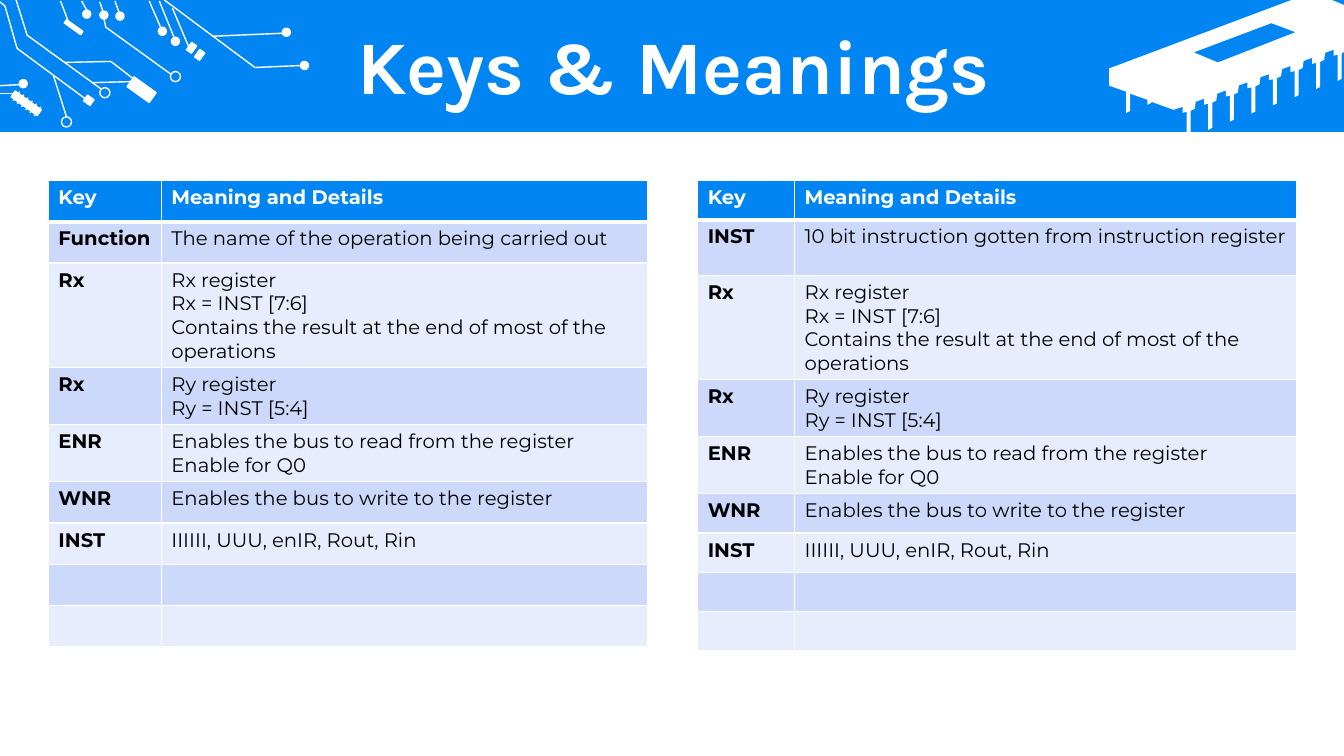
from dataclasses import dataclass
from typing import Optional

from lxml import etree
from pptx import Presentation, util as u
from pptx.dml.color import RGBColor
from pptx.enum import shapes, text
from pptx.oxml import ns

BLUE = RGBColor(0x00, 0x85, 0xF2)
WHITE = RGBColor(0xFF, 0xFF, 0xFF)
BLACK = RGBColor(0x00, 0x00, 0x00)
BANDS = (RGBColor(0xCC, 0xD9, 0xFA), RGBColor(0xE7, 0xED, 0xFC))
COLS, ROWS = 133.3, 75
CELL = u.Inches(0.1)
TILT = 35.7

Point = tuple[float, float]


@dataclass
class Pad:
    x: float
    y: float
    w: float
    h: float


@dataclass
class Dot:
    x: float
    y: float
    size: float = 0.8
    filled: bool = True


@dataclass
class Trace:
    points: list[Point]
    pad: Optional[int] = None


@dataclass
class KeyTable:
    x: float
    y: float
    cols: list[float]
    heights: list[float]
    first: tuple[str, str]


PADS = [Pad(12.7, 8.3, 2.7, 1.2), Pad(6.3, 2.5, 2, 0.4), Pad(8.4, 9.6, 0.8, 0.7),
        Pad(18.7, 4.3, 0.6, 0.9), Pad(19.5, 5, 0.6, 0.9), Pad(1, 9.9, 3.2, 0.7)]
DOTS = [Dot(29.8, 6.1), Dot(28, 2.8), Dot(8.2, 1), Dot(9.9, 1.1), Dot(11.5, 1.2),
        Dot(1.9, 7.9), Dot(17, 3.7), Dot(15.7, 2.7), Dot(16.9, 7.1, 1, False),
        Dot(9.9, 8.7, 1, False), Dot(6.1, 11.6, 1, False)]
TRACES = [
    Trace([(16.3, 0), (25.3, 6.7), (29.9, 6.5)]),
    Trace([(1.6, 0), (2.7, 3.5), (10, 8.8)]),
    Trace([(0, 0.2), (0.5, 0.6), (1.7, 4.8), (8.6, 9.9)]),
    Trace([(6.4, 6.2), (11, 6.1), (13.2, 7.8)]),
    Trace([(10.3, 1.8), (10.5, 2.7), (17, 7.4)]),
    Trace([(6, 0.1), (6.8, 2.2)]),
    Trace([(8.1, 0.1), (8.6, 1)]),
    Trace([(9.9, 0.2), (10.2, 1.1)]),
    Trace([(11.4, 0.1), (11.8, 1.2)]),
    Trace([(14.8, 0.1), (16.1, 3.1)]),
    Trace([(15.8, 0.1), (17.3, 3.8)]),
    Trace([(21, 3.6), (28, 3.3)]),
    Trace([(17.1, 0.8), (18.7, 4.6)], pad=3),
    Trace([(0, 8.5), (1.9, 8.4)]),
    Trace([(0, 9.3), (1.4, 9.3)], pad=5),
    Trace([(5.3, 7.5), (6.6, 11.6)]),
    Trace([(9.2, 8.2), (13, 8.1)]),
] + [Trace([(1.3 + 0.42 * i, 10 + 0.3 * i), (1.95 + 0.42 * i, 9.1 + 0.3 * i)]) for i in range(6)]

PIN = [(0, 0), (0, 0.6), (0.4, 0.5), (0.4, 3.1), (0.8, 2.9), (0.8, 0.4), (1.2, 0.2), (1.3, -0.5)]
PIN_TIPS = [(min(117.3 + 2.14 * i + dx, COLS), 10.6 - 0.81 * i + dy)
            for i in range(8) for dx, dy in PIN]
CHIP = [(128.1, 0), (132.1, 0), (133.3, 0.5), *reversed(PIN_TIPS), (116.4, 10.9),
        (114.2, 10.1), (114.2, 10.2), (113.8, 10.4), (113.8, 9.9), (112.1, 9.3),
        (112.1, 11), (111.7, 11.2), (111.7, 9.1), (110, 8.5), (110, 6.8)]
CHIP_WINDOW = [(126.1, 2.3), (118.4, 5.2), (120.8, 6.2), (128.5, 3.2)]

SHARED_ROWS = [
    ("Rx", "Rx register\nRx = INST [7:6]\n"
           "Contains the result at the end of most of the operations"),
    ("Rx", "Ry register\nRy = INST [5:4]"),
    ("ENR", "Enables the bus to read from the register\nEnable for Q0"),
    ("WNR", "Enables the bus to write to the register"),
    ("INST", "IIIIII, UUU, enIR, Rout, Rin"),
    ("", ""),
    ("", ""),
]
TABLES = [
    KeyTable(4.8, 17.9, [11.2, 48.2], [4.1] * 9,
             ("Function", "The name of the operation being carried out")),
    KeyTable(69.2, 17.9, [9.6, 49.8], [3.9, 5.5, 10, 5.5, 5.5, 3.9, 3.9, 3.9, 3.9],
             ("INST", "10 bit instruction gotten from instruction register")),
]


def g(n: float) -> int:
    return round(n * CELL)


def white_line(sp) -> None:
    sp.line.color.rgb = WHITE
    sp.line.width = u.Pt(1)


def solid(sp, color: RGBColor) -> None:
    sp.fill.solid()
    sp.fill.fore_color.rgb = color


def draw_shape(s, kind, x: float, y: float, w: float, h: float):
    sp = s.shapes.add_shape(kind, g(x), g(y), g(w), g(h))
    sp.shadow.inherit = False
    return sp


def draw_path(s, points: list[Point], close: bool, hole: Optional[list[Point]] = None):
    outline = [(g(x), g(y)) for x, y in points]
    fb = s.shapes.build_freeform(*outline[0])
    fb.add_line_segments(outline[1:], close=close)
    if hole:
        inner = [(g(x), g(y)) for x, y in hole]
        fb.move_to(*inner[0])
        fb.add_line_segments(inner[1:], close=True)
    sp = fb.convert_to_shape()
    sp.shadow.inherit = False
    return sp


def draw_pad(s, pad: Pad):
    sp = draw_shape(s, shapes.MSO_SHAPE.RECTANGLE, pad.x, pad.y, pad.w, pad.h)
    sp.rotation = TILT
    solid(sp, WHITE)
    white_line(sp)
    return sp


def draw_dot(s, dot: Dot) -> None:
    sp = draw_shape(s, shapes.MSO_SHAPE.OVAL, dot.x, dot.y, dot.size, dot.size)
    if dot.filled:
        solid(sp, WHITE)
    else:
        sp.fill.background()
    white_line(sp)


def draw_trace(s, trace: Trace, pads: list) -> None:
    if len(trace.points) > 2:
        sp = draw_path(s, trace.points, close=False)
        sp.fill.background()
    else:
        (x1, y1), (x2, y2) = trace.points
        sp = s.shapes.add_connector(shapes.MSO_CONNECTOR.STRAIGHT, g(x1), g(y1), g(x2), g(y2))
        if trace.pad is not None:
            sp.end_connect(pads[trace.pad], 1)
            sp.end_x, sp.end_y = g(x2), g(y2)
        etree.SubElement(sp._element.spPr, ns.qn("a:effectLst"))
    white_line(sp)


def draw_borders(cell, header: bool) -> None:
    tcPr = cell._tc.get_or_add_tcPr()
    for side in "LRTB":
        width = u.Pt(3 if header and side == "B" else 1)
        ln = etree.SubElement(tcPr, ns.qn(f"a:ln{side}"), w=str(width))
        fill = etree.SubElement(ln, ns.qn("a:solidFill"))
        etree.SubElement(fill, ns.qn("a:srgbClr"), val=str(WHITE))


def draw_table(s, spec_: KeyTable) -> None:
    rows = [("Key", "Meaning and Details"), spec_.first, *SHARED_ROWS]
    table = s.shapes.add_table(len(rows), len(spec_.cols), g(spec_.x), g(spec_.y),
                               g(sum(spec_.cols)), g(sum(spec_.heights))).table
    for col, width in zip(table.columns, spec_.cols):
        col.width = g(width)
    for i, (row, height, values) in enumerate(zip(table.rows, spec_.heights, rows)):
        row.height = g(height)
        for j, (cell, value) in enumerate(zip(row.cells, values)):
            draw_borders(cell, header=i == 0)
            solid(cell, BANDS[(i - 1) % 2] if i else BLUE)
            cell.text = value
            for p in cell.text_frame.paragraphs:
                p.font.name, p.font.size = "Montserrat", u.Pt(14)
                p.font.bold = i == 0 or j == 0
                p.font.color.rgb = BLACK if i else WHITE


def draw_title(s) -> None:
    tf = s.shapes.add_textbox(g(3.5), g(3), g(126.6), g(7.9)).text_frame
    tf.word_wrap = True
    tf.vertical_anchor = text.MSO_ANCHOR.MIDDLE
    p = tf.paragraphs[0]
    p.text = "Keys & Meanings"
    p.alignment = text.PP_ALIGN.CENTER
    p.line_spacing = 0.9
    p.font.name, p.font.size, p.font.bold = "Karla", u.Pt(54), True
    p.font.color.rgb = WHITE


def main() -> None:
    prs = Presentation()
    prs.slide_width, prs.slide_height = g(COLS), g(ROWS)
    s = prs.slides.add_slide(prs.slide_layouts[6])
    banner = draw_shape(s, shapes.MSO_SHAPE.RECTANGLE, 0, 0, COLS, 13.1)
    chip = draw_path(s, CHIP, close=True, hole=CHIP_WINDOW)
    for sp, color in ((banner, BLUE), (chip, WHITE)):
        solid(sp, color)
        sp.line.fill.background()
    pads = [draw_pad(s, pad) for pad in PADS]
    for dot in DOTS:
        draw_dot(s, dot)
    for trace in TRACES:
        draw_trace(s, trace, pads)
    draw_title(s)
    for key_table in TABLES:
        draw_table(s, key_table)
    prs.save("out.pptx")


if __name__ == "__main__":
    main()
